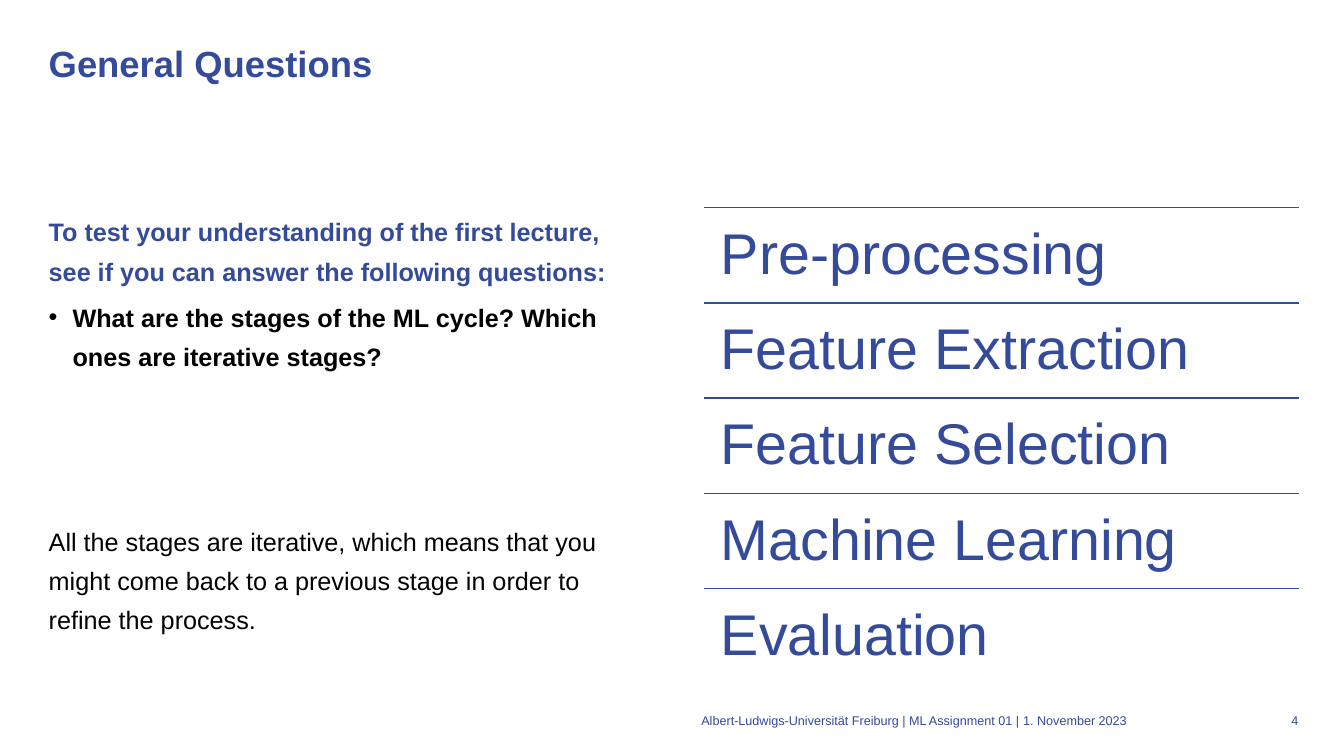
"""Build the General Questions slide with the stages of the ML cycle."""
from lxml.etree import SubElement as Sub
from pptx import Presentation
from pptx.dml.color import RGBColor as Rgb
from pptx.enum.shapes import MSO_CONNECTOR as Link
from pptx.enum.text import MSO_ANCHOR as Anchor, MSO_AUTO_SIZE as Auto, PP_ALIGN as Align
from pptx.oxml.ns import qn
from pptx.util import Pt

HUES = {"blue": "344A9A", "black": "000000"}


def style(para, size, hue="blue", bold=False, align=Align.LEFT):
    para.alignment = align
    for run in para.runs:
        font = run.font
        font.name, font.size, font.bold = "Arial", Pt(size), bold
        font.color.rgb = Rgb.from_string(HUES[hue])


def setup(shape, left, top, width, height, inset=0):
    shape.left, shape.top = Pt(left), Pt(top)
    shape.width, shape.height = Pt(width), Pt(height)
    frame = shape.text_frame
    frame.word_wrap, frame.auto_size = True, Auto.NONE
    frame.vertical_anchor = Anchor.TOP
    frame.margin_left = frame.margin_right = Pt(inset)
    frame.margin_top = frame.margin_bottom = Pt(inset)
    return frame


deck = Presentation()
deck.slide_width, deck.slide_height = Pt(960), Pt(540)
slide = deck.slides.add_slide(deck.slide_layouts[5])
shapes = slide.shapes

title = setup(shapes.title, 34.8, 28.8, 892.8, 104.4)
title.text = "General Questions"
title.paragraphs[0].line_spacing = Pt(32)
style(title.paragraphs[0], 26, bold=True)

footer = [
    ("Albert-Ludwigs-Universität Freiburg | ML Assignment 01 |", 234.7, 493.2, Align.RIGHT),
    ("1. November 2023", 730.8, 110, Align.LEFT),
    ("4", 899.3, 28.1, Align.RIGHT),
]
for text, left, width, align in footer:
    note = setup(shapes.add_textbox(0, 0, 0, 0), left, 509, width, 14.4)
    note.text = text
    style(note.paragraphs[0], 9, align=align)

body = setup(shapes.add_textbox(0, 0, 0, 0), 34.8, 148.4, 425.5, 339.8)
parts = [
    ("To test your understanding of the first lecture, see if you can answer "
     "the following questions:", "blue", True, 5),
    ("What are the stages of the ML cycle? Which ones are iterative stages?", "black", True, 5),
    ("All the stages are iterative, which means that you might come back to a "
     "previous stage in order to refine the process.", "black", False, 104),
]
body.text = "\n".join(part[0] for part in parts)
for para, (text, hue, bold, gap) in zip(body.paragraphs, parts):
    para.line_spacing, para.space_before = Pt(28), Pt(gap)
    style(para, 18, hue, bold)

props = body.paragraphs[1]._p.get_or_add_pPr()
props.set("marL", str(Pt(17)))
props.set("indent", str(-Pt(17)))
Sub(props, qn("a:buFont"), typeface="Arial")
Sub(props, qn("a:buChar"), char="•")

stages = ["Pre-processing", "Feature Extraction", "Feature Selection",
          "Machine Learning", "Evaluation"]
left, width, pitch = 502.6, 425.5, 68
for row, stage in enumerate(stages):
    top = 148.4 + row * pitch
    rule = shapes.add_connector(Link.STRAIGHT, Pt(left), Pt(top), Pt(left + width), Pt(top))
    rule.line.color.rgb = Rgb.from_string(HUES["blue"])
    rule.line.width = Pt(1)
    Sub(rule._element.spPr, qn("a:effectLst"))
    label = setup(shapes.add_textbox(0, 0, 0, 0), left, top, width, pitch, 12.3)
    label.text = stage
    label.paragraphs[0].line_spacing = 0.9
    style(label.paragraphs[0], 41)

deck.save("out.pptx")
